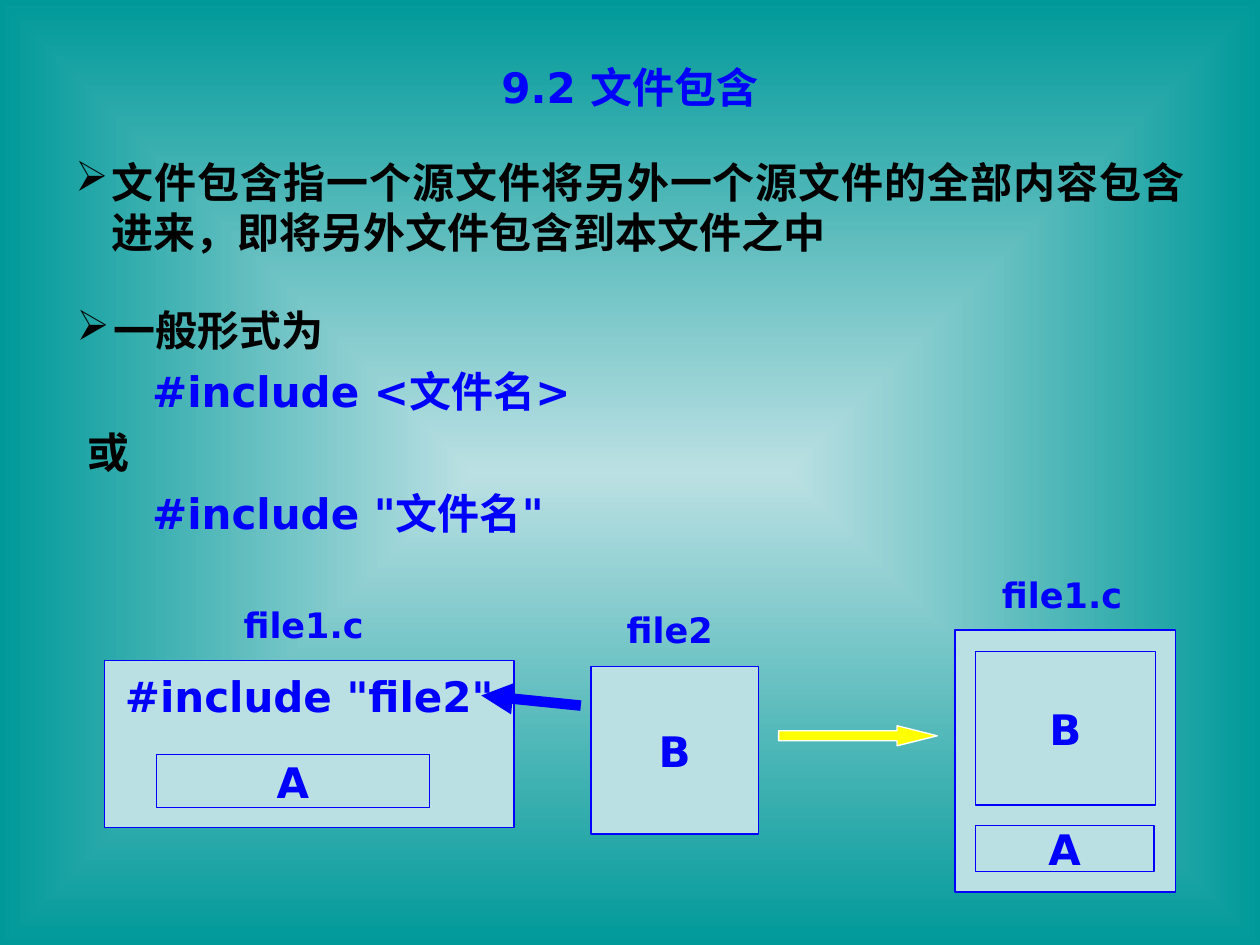
import pptx
import pptx.util
import pptx.dml.color
import pptx.enum.shapes
import pptx.enum.text
import pptx.oxml
import pptx.oxml.ns
import lxml.etree

Inches = pptx.util.Inches
Pt = pptx.util.Pt
RGBColor = pptx.dml.color.RGBColor
ALIGN = pptx.enum.text.PP_ALIGN
ANCHOR = pptx.enum.text.MSO_ANCHOR
SHAPE = pptx.enum.shapes.MSO_SHAPE
qn = pptx.oxml.ns.qn

BLUE = RGBColor(0x00, 0x00, 0xFF)
BLACK = RGBColor(0x00, 0x00, 0x00)
PALE = RGBColor(0xBB, 0xE0, 0xE3)
TEAL = RGBColor(0x00, 0x99, 0x99)
YELLOW = RGBColor(0xFF, 0xFF, 0x00)
WHITE = RGBColor(0xFF, 0xFF, 0xFF)
FONT = "DejaVu Sans"


def write(para, text, size, color, align):
    para.text = text
    para.alignment = align
    para.font.name = FONT
    para.font.size = Pt(size)
    para.font.bold = True
    para.font.color.rgb = color


def add_block(kind, place, fill, line):
    block = slide.shapes.add_shape(kind, *map(Inches, place))
    block.shadow.inherit = False
    block.fill.solid()
    block.fill.fore_color.rgb = fill
    block.line.color.rgb = line
    block.line.width = Pt(0.75)
    return block


deck = pptx.Presentation()
deck.slide_width = Inches(10)
deck.slide_height = Inches(7.5)
slide = deck.slides.add_slide(deck.slide_layouts[5])

background = slide.background.fill
background.gradient()
for stop, color in zip(background.gradient_stops, (PALE, TEAL)):
    stop.color.rgb = color
for stop, position in zip(background.gradient_stops, (0, 1)):
    stop.position = position
gradient = slide.element.find(".//" + qn("a:gradFill"))
gradient.remove(gradient.find(qn("a:lin")))
shade = lxml.etree.SubElement(gradient, qn("a:path"), path="rect")
lxml.etree.SubElement(shade, qn("a:fillToRect"), l="50000", t="50000", r="50000", b="50000")

title = slide.shapes.title
title.left, title.top, title.width, title.height = map(Inches, (0.5, 0.44, 9, 0.5))
title.text_frame.auto_size = pptx.enum.text.MSO_AUTO_SIZE.NONE
title.text_frame.vertical_anchor = ANCHOR.MIDDLE
write(title.text_frame.paragraphs[0], "9.2 文件包含", 24, BLUE, ALIGN.CENTER)

definition = "文件包含指一个源文件将另外一个源文件的全部内容包含进来，即将另外文件包含到本文件之中"
text_blocks = [
    ((0.5, 1.19, 9, 0.9), ALIGN.JUSTIFY, [(definition, BLACK, 0.29, True)]),
    ((0.51, 2.37, 9, 1.95), ALIGN.LEFT, [
        ("一般形式为", BLACK, 0.29, True),
        ("#include <文件名>", BLUE, 0.6, False),
        ("或", BLACK, 0.09, False),
        ('#include "文件名"', BLUE, 0.6, False),
    ]),
]
for place, align, lines in text_blocks:
    box = slide.shapes.add_textbox(*map(Inches, place))
    box.text_frame.word_wrap = True
    for index, (text, color, margin, bulleted) in enumerate(lines):
        para = box.text_frame.paragraphs[0] if index == 0 else box.text_frame.add_paragraph()
        write(para, text, 24, color, align)
        para.space_before = Pt(6)
        properties = para._p.get_or_add_pPr()
        properties.set("marL", str(Inches(margin)))
        if bulleted:
            properties.set("indent", str(-Inches(margin)))
            bullet_color = lxml.etree.Element(qn("a:buClr"))
            lxml.etree.SubElement(bullet_color, qn("a:srgbClr"), val=str(BLACK))
            bullet = lxml.etree.Element(qn("a:buChar"), char="➢")
            space = properties.find(qn("a:spcBef"))
            space.addnext(bullet_color)
            bullet_color.addnext(bullet)

file_boxes = [
    ((0.83, 5.24, 3.25, 1.33), '#include "file2"', ANCHOR.TOP),
    ((1.24, 5.99, 2.17, 0.42), "A", ANCHOR.MIDDLE),
    ((4.69, 5.29, 1.33, 1.33), "B", ANCHOR.MIDDLE),
    ((7.58, 5, 1.75, 2.08), "", ANCHOR.MIDDLE),
    ((7.74, 5.17, 1.43, 1.22), "B", ANCHOR.MIDDLE),
    ((7.74, 6.55, 1.42, 0.37), "A", ANCHOR.MIDDLE),
]
for place, text, anchor in file_boxes:
    file_box = add_block(SHAPE.RECTANGLE, place, PALE, BLUE)
    if text:
        frame = file_box.text_frame
        frame.word_wrap = False
        frame.vertical_anchor = anchor
        frame.margin_top = Inches(0.08 if anchor == ANCHOR.TOP else 0.05)
        write(frame.paragraphs[0], text, 24, BLUE, ALIGN.CENTER)

file_labels = [
    ((1.77, 4.74, 1.28, 0.44), "file1.c"),
    ((4.84, 4.78, 0.95, 0.44), "file2"),
    ((7.76, 4.5, 1.34, 0.44), "file1.c"),
]
for place, text in file_labels:
    label = slide.shapes.add_textbox(*map(Inches, place))
    label.text_frame.word_wrap = True
    write(label.text_frame.paragraphs[0], text, 20, BLUE, ALIGN.CENTER)

include_arrow = slide.shapes.add_connector(
    pptx.enum.shapes.MSO_CONNECTOR.STRAIGHT, *map(Inches, (4.61, 5.6, 3.82, 5.52)))
include_arrow.line.color.rgb = BLUE
include_arrow.line.width = Pt(6)
lxml.etree.SubElement(include_arrow.line._get_or_add_ln(), qn("a:tailEnd"), type="triangle")
lxml.etree.SubElement(include_arrow._element.spPr, qn("a:effectLst"))

result_arrow = add_block(SHAPE.RIGHT_ARROW, (6.18, 5.76, 1.26, 0.16), YELLOW, WHITE)
result_arrow.adjustments[0] = 0.5
result_arrow.adjustments[1] = 2

deck.save("out.pptx")
